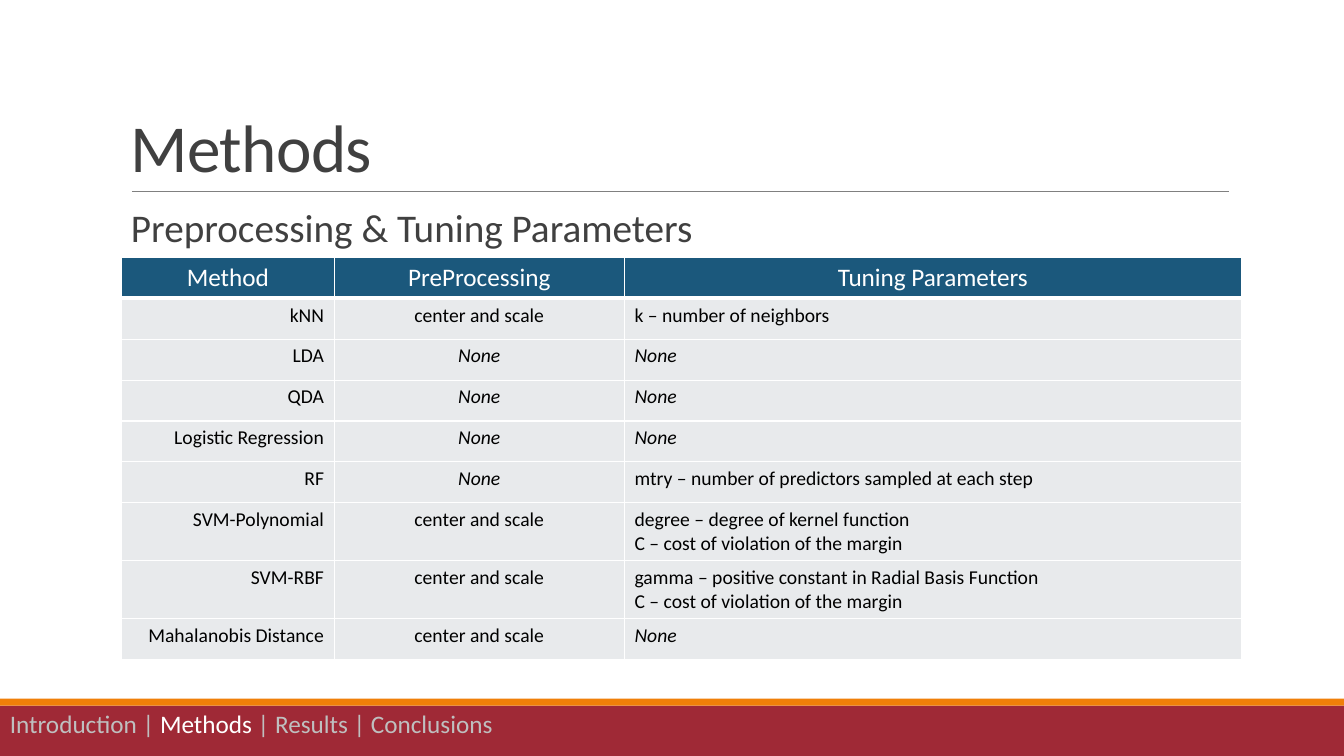
from pptx import Presentation
from pptx.dml.color import RGBColor
from pptx.enum.shapes import MSO_CONNECTOR, MSO_SHAPE
from pptx.enum.text import MSO_ANCHOR, PP_ALIGN as ALIGN
from pptx.oxml.ns import qn
from pptx.util import Pt
from lxml.etree import SubElement

WHITE = RGBColor(0xFF, 0xFF, 0xFF)
BLACK = RGBColor(0, 0, 0)
DARK = RGBColor(0x40, 0x40, 0x40)
RULE_GRAY = RGBColor(0x80, 0x80, 0x80)
MUTED = RGBColor(0xBF, 0xBF, 0xBF)
RED = RGBColor(0x9F, 0x29, 0x36)
ORANGE = RGBColor(0xF0, 0x7F, 0x09)
HEADER_BLUE = RGBColor(0x1B, 0x58, 0x7C)
CELL_GRAY = RGBColor(0xE8, 0xEA, 0xEC)
FONT = "Calibri"

HEADINGS = ("Method", "PreProcessing", "Tuning Parameters")
SCALED, NONE = "center and scale", "None"
MARGIN_COST = "C – cost of violation of the margin"
METHODS = [
    ("kNN", SCALED, "k – number of neighbors"),
    ("LDA", NONE, NONE),
    ("QDA", NONE, NONE),
    ("Logistic Regression", NONE, NONE),
    ("RF", NONE, "mtry – number of predictors sampled at each step"),
    ("SVM-Polynomial", SCALED,
     "degree – degree of kernel function\v" + MARGIN_COST),
    ("SVM-RBF", SCALED,
     "gamma – positive constant in Radial Basis Function\n" + MARGIN_COST),
    ("Mahalanobis Distance", SCALED, NONE),
]
COLUMN_WIDTHS = (151.9, 207.4, 440.6)
COLUMN_ALIGNS = (ALIGN.RIGHT, ALIGN.CENTER, ALIGN.LEFT)
ROW_HEIGHT, TWO_LINE_HEIGHT = 29.2, 41.4
SECTIONS = ("Introduction", "Methods", "Results", "Conclusions")


def style(font, size, color):
    font.name, font.size = FONT, Pt(size)
    font.color.rgb = color


def add_text(slide, left, top, width, height):
    frame = slide.shapes.add_textbox(
        Pt(left), Pt(top), Pt(width), Pt(height)).text_frame
    frame.word_wrap = True
    return frame


def add_band(slide, left, top, width, height, color):
    band = slide.shapes.add_shape(
        MSO_SHAPE.RECTANGLE, Pt(left), Pt(top), Pt(width), Pt(height))
    band.shadow.inherit = False
    band.fill.solid()
    band.fill.fore_color.rgb = color
    band.line.fill.background()


def add_heading(slide, left, top, width, height):
    # Title above its rule
    frame = add_text(slide, left, top, width, height)
    frame.vertical_anchor = MSO_ANCHOR.BOTTOM
    title = frame.paragraphs[0]
    title.text = "Methods"
    title.line_spacing = 0.85
    style(title.font, 48, DARK)
    title.runs[0].font._element.set("spc", "-50")

    bottom = top + height
    rule = slide.shapes.add_connector(
        MSO_CONNECTOR.STRAIGHT, Pt(left + 7.9), Pt(bottom),
        Pt(left + width - 0.7), Pt(bottom))
    rule.line.color.rgb = RULE_GRAY
    rule.line.width = Pt(0.5)
    SubElement(rule._element.spPr, qn("a:effectLst"))


def add_subtitle(slide, left, top, width, height):
    frame = add_text(slide, left, top, width, height)
    frame.margin_left = frame.margin_right = 0
    subtitle = frame.paragraphs[0]
    subtitle.text = "Preprocessing & Tuning Parameters"
    subtitle.line_spacing = 0.9
    subtitle.space_before, subtitle.space_after = Pt(12), Pt(2)
    subtitle._p.get_or_add_pPr().set("marL", str(Pt(7.2)))
    style(subtitle.font, 28, DARK)


def add_borders(cell, top, bottom):
    properties = cell._tc.get_or_add_tcPr()
    for side, width in (("L", 1), ("R", 1), ("T", top), ("B", bottom)):
        border = SubElement(properties, qn("a:ln" + side), w=str(Pt(width)))
        fill = SubElement(border, qn("a:solidFill"))
        SubElement(fill, qn("a:srgbClr"), val=str(WHITE))


def fill_cell(cell, text, row, align):
    is_header = row == 0
    add_borders(cell, 3 if row == 1 else 1, 3 if is_header else 1)
    cell.fill.solid()
    cell.fill.fore_color.rgb = HEADER_BLUE if is_header else CELL_GRAY
    cell.text_frame.text = text
    for paragraph in cell.text_frame.paragraphs:
        paragraph.alignment = ALIGN.CENTER if is_header else align
        style(paragraph.font, 18 if is_header else 14,
              WHITE if is_header else BLACK)
        if text == NONE:
            paragraph.font.italic = True


def add_methods_table(slide, left, top):
    rows = [HEADINGS] + METHODS
    heights = [TWO_LINE_HEIGHT if MARGIN_COST in row[2] else ROW_HEIGHT
               for row in rows]
    table = slide.shapes.add_table(
        len(rows), len(HEADINGS), Pt(left), Pt(top),
        Pt(sum(COLUMN_WIDTHS)), Pt(sum(heights))).table
    table.horz_banding = False
    for column, width in zip(table.columns, COLUMN_WIDTHS):
        column.width = Pt(width)
    for r, (texts, height) in enumerate(zip(rows, heights)):
        table.rows[r].height = Pt(height)
        for c, (text, align) in enumerate(zip(texts, COLUMN_ALIGNS)):
            fill_cell(table.cell(r, c), text, r, align)


def add_footer(slide, left, top, width, height, current):
    # Orange stripe over the red band
    stripe = 5
    add_band(slide, left, top + stripe, width, height - stripe, RED)
    add_band(slide, left, top, width, stripe, ORANGE)

    # Section trail with the current one lit
    trail = add_text(slide, left, top + 3.6, width - 10, 29).paragraphs[0]
    for i, section in enumerate(SECTIONS):
        if i:
            separator = trail.add_run()
            separator.text = " | "
            style(separator.font, 18, MUTED)
        name = trail.add_run()
        name.text = section
        style(name.font, 18, WHITE if section == current else MUTED)


def build_methods_slide(deck):
    slide = deck.slides.add_slide(deck.slide_layouts[6])
    add_footer(slide, 0, 499, 960, 41, "Methods")
    add_heading(slide, 86.4, 22.3, 792, 114.5)
    add_subtitle(slide, 86.4, 145.4, 792, 38)
    add_methods_table(slide, 86.8, 183.9)


deck = Presentation()
deck.slide_width, deck.slide_height = Pt(960), Pt(540)
build_methods_slide(deck)
deck.save("out.pptx")
